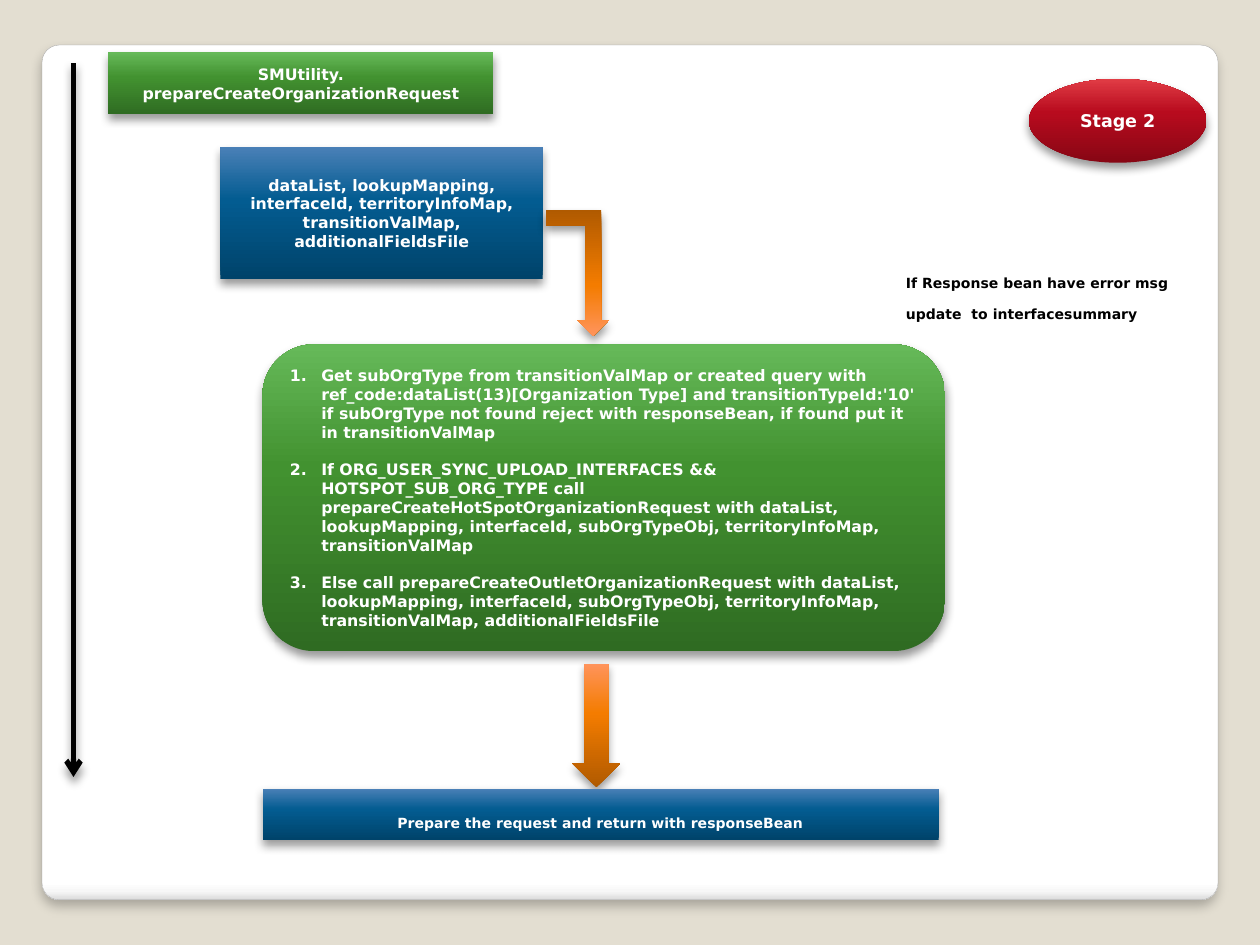
from lxml import etree
from pptx import Presentation
from pptx.dml.color import RGBColor
from pptx.enum.shapes import MSO_CONNECTOR, MSO_SHAPE
from pptx.enum.text import MSO_ANCHOR, PP_ALIGN
from pptx.oxml.ns import qn
from pptx.util import Inches, Pt

RECT, ROUND, OVAL = MSO_SHAPE.RECTANGLE, MSO_SHAPE.ROUNDED_RECTANGLE, MSO_SHAPE.OVAL
DOWN_ARROW, BENT_ARROW = MSO_SHAPE.DOWN_ARROW, MSO_SHAPE.BENT_UP_ARROW
STRAIGHT = MSO_CONNECTOR.STRAIGHT
MIDDLE = MSO_ANCHOR.MIDDLE
CENTER, LEFT = PP_ALIGN.CENTER, PP_ALIGN.LEFT

FONT = "DejaVu Sans"
COLUMNS, ROWS = 120, 90
CELL = Inches(10) / COLUMNS
COLORS = {"backdrop": "E3DED1", "edge": "A4A4A4", "white": "FFFFFF", "black": "000000"}
GRADIENTS = {
    "green": ((0, "2F6B22"), (60, "429230"), (100, "66B959")),
    "blue": ((0, "00436A"), (60, "035C91"), (100, "4A80B7")),
    "orange": ((0, "B05A00"), (60, "F47C00"), (100, "FF945C")),
    "red": ((0, "870614"), (60, "B80B1E"), (100, "E13C45")),
    "panel": ((0, "FFFFFF"), (98, "FFFFFF"), (99, "F7F7F7"), (100, "DADADA")),
}
STEPS = (
    "Get subOrgType from transitionValMap or created query with "
    "ref_code:dataList(13)[Organization Type] and transitionTypeId:'10' "
    "if subOrgType not found reject with responseBean, if found put it in transitionValMap",
    "If ORG_USER_SYNC_UPLOAD_INTERFACES &&\vHOTSPOT_SUB_ORG_TYPE call "
    "prepareCreateHotSpotOrganizationRequest with dataList, lookupMapping, "
    "interfaceId, subOrgTypeObj, territoryInfoMap, transitionValMap",
    "Else call prepareCreateOutletOrganizationRequest with dataList, lookupMapping, "
    "interfaceId, subOrgTypeObj, territoryInfoMap, transitionValMap, additionalFieldsFile",
)


def grid(*cells):
    return [round(cell * CELL) for cell in cells]


def add_node(parent, tag, **attributes):
    node = etree.SubElement(parent, qn(tag))
    for name, value in attributes.items():
        node.set(name, str(value))
    return node


def add_color(parent, color):
    return add_node(parent, "a:srgbClr", val=color)


def add_gradient(properties, stops, angle):
    gradient = add_node(properties, "a:gradFill", rotWithShape=1)
    stop_list = add_node(gradient, "a:gsLst")
    for share, color in stops:
        add_color(add_node(stop_list, "a:gs", pos=share * 1000), color)
    add_node(gradient, "a:lin", ang=angle * 60000, scaled=0)


def add_shadow(properties, opacity=40, blur=5.2, distance=3):
    effects = add_node(properties, "a:effectLst")
    shadow = add_node(effects, "a:outerShdw", blurRad=Pt(blur), dist=Pt(distance),
                      dir=90 * 60000, algn="ctr", rotWithShape=0)
    add_node(add_color(shadow, COLORS["black"]), "a:alpha", val=opacity * 1000)


def style_para(para, size, color="white", align=CENTER):
    para.alignment = align
    for span in para.runs:
        span.font.name = FONT
        span.font.size = Pt(size)
        span.font.bold = True
        span.font.color.rgb = RGBColor.from_string(COLORS[color])


def add_panel(page):
    panel = page.shapes.add_shape(ROUND, *grid(4, 4.3, 112, 81.4))
    panel.adjustments[0] = 0.02
    properties = panel._element.spPr
    add_gradient(properties, GRADIENTS["panel"], 90)
    panel.line.color.rgb = RGBColor.from_string(COLORS["edge"])
    panel.line.width = Pt(0.16)
    add_shadow(properties, opacity=25, blur=6, distance=4)


def add_block(page, kind, place, gradient, text="", size=9):
    block = page.shapes.add_shape(kind, *grid(*place))
    properties = block._element.spPr
    add_gradient(properties, GRADIENTS[gradient], 270)
    block.line.fill.background()
    add_shadow(properties)
    if text:
        block.text_frame.text = text
        block.text_frame.vertical_anchor = MIDDLE
        style_para(block.text_frame.paragraphs[0], size)
    return block


def number_steps(block, steps):
    frame = block.text_frame
    frame.vertical_anchor = MIDDLE
    for index, step in enumerate(steps):
        para = frame.add_paragraph() if index else frame.paragraphs[0]
        para.text = step
        style_para(para, 9, align=LEFT)
        if index:
            para.space_before = Pt(10.5)
        settings = para._p.get_or_add_pPr()
        settings.set("marL", str(Inches(0.25)))
        settings.set("indent", str(-Inches(0.25)))
        add_node(settings, "a:buFont", typeface="+mj-lt")
        add_node(settings, "a:buAutoNum", type="arabicPeriod")


def add_timeline(page):
    timeline = page.shapes.add_connector(STRAIGHT, *grid(7, 6, 7, 74))
    timeline.line.color.rgb = RGBColor.from_string(COLORS["black"])
    timeline.line.width = Pt(3)
    add_node(timeline.line._get_or_add_ln(), "a:tailEnd", type="arrow")
    add_shadow(timeline._element.spPr)


def add_note(page, place, text):
    box = page.shapes.add_textbox(*grid(*place))
    box.text_frame.word_wrap = True
    para = box.text_frame.paragraphs[0]
    para.text = text
    spacer = para.add_run()
    spacer.text = " "
    style_para(para, 8, "black", LEFT)
    spacer.font.size = Pt(16)  # opens up the last line


def main():
    deck = Presentation()
    deck.slide_width, deck.slide_height = grid(COLUMNS, ROWS)
    page = deck.slides.add_slide(deck.slide_layouts[6])
    page.background.fill.solid()
    page.background.fill.fore_color.rgb = RGBColor.from_string(COLORS["backdrop"])

    add_panel(page)
    add_block(page, RECT, (10.3, 5, 36.7, 5.9), "green",
              "SMUtility. prepareCreateOrganizationRequest")
    add_timeline(page)
    add_block(page, RECT, (21, 14, 30.7, 12.6), "blue",
              "dataList, lookupMapping, interfaceId, territoryInfoMap, "
              "transitionValMap, additionalFieldsFile")
    steps = add_block(page, ROUND, (25, 32.8, 65, 29.2), "green")
    number_steps(steps, STEPS)
    add_block(page, DOWN_ARROW, (54.5, 63.2, 4.6, 11.8), "orange")
    bend = add_block(page, BENT_ARROW, (52, 20, 6, 12), "orange")
    bend._element.spPr.xfrm.set("flipV", "1")
    result = add_block(page, RECT, (25, 75.1, 64.4, 4.9), "blue",
                       "Prepare the request and return with responseBean", 8)
    result.text_frame.margin_top = Inches(0.18)
    add_note(page, (85.1, 25.6, 28, 6),
             "If Response bean have error msg update  to interfacesummary")
    add_block(page, OVAL, (98, 7.5, 16.9, 8), "red", "Stage 2", 10)
    deck.save("out.pptx")


if __name__ == "__main__":
    main()
